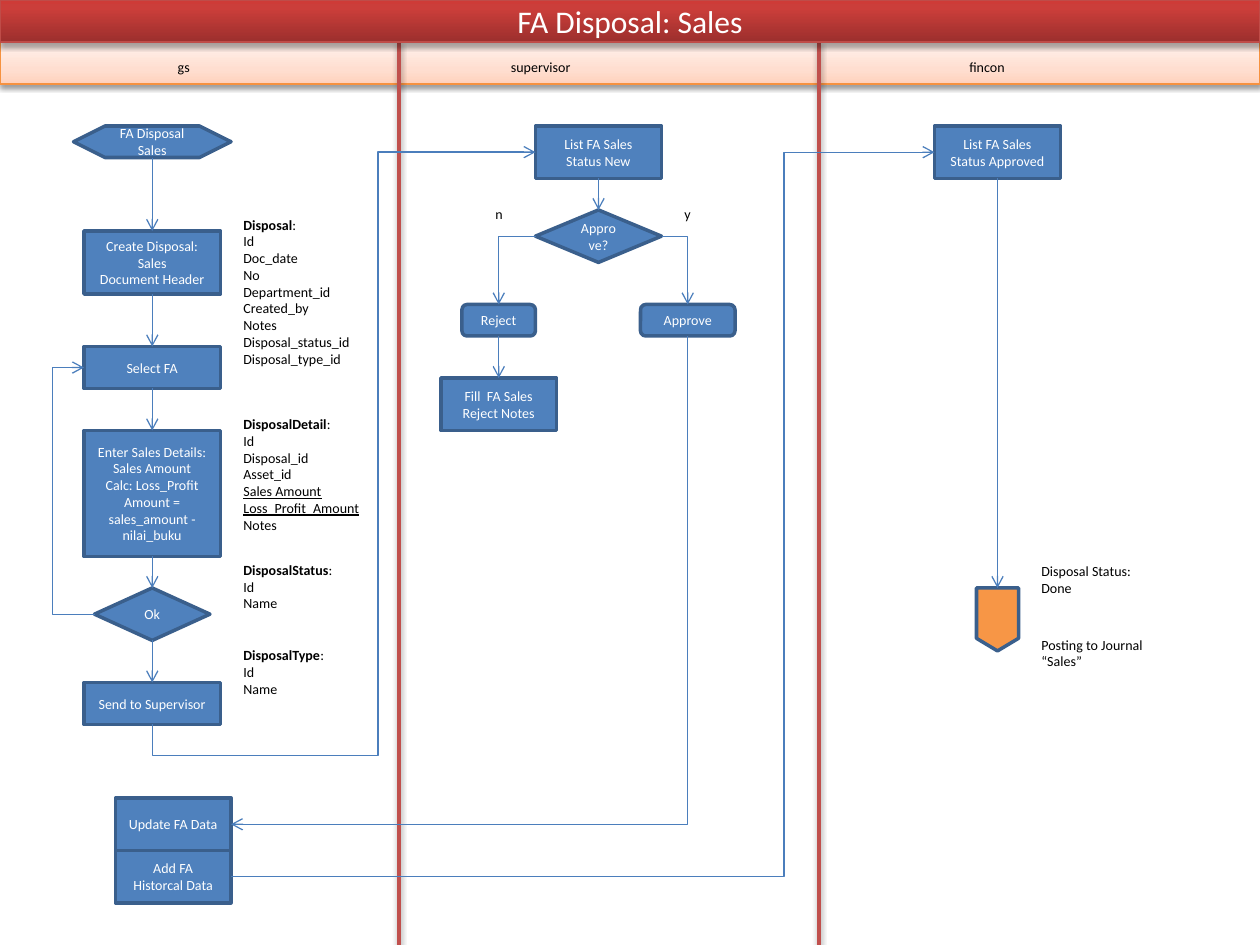
"""Build the swimlane flowchart for fixed asset disposal by sale."""
from copy import deepcopy

from lxml.etree import SubElement
from pptx import Presentation
from pptx.dml.color import RGBColor
from pptx.enum.shapes import MSO_AUTO_SHAPE_TYPE as Kind, MSO_CONNECTOR as Connector
from pptx.enum.text import MSO_ANCHOR as Anchor, MSO_AUTO_SIZE as AutoSize, PP_ALIGN as Align
from pptx.oxml.ns import qn
from pptx.util import Emu, Pt

PX = 9525
color = RGBColor.from_string
WHITE, BLACK, BLUE, OUTLINE, ORANGE = "FFFFFF", "000000", "4F81BD", "3A5F8C", "F79646"


def px(*lengths):
    return [Emu(length * PX) for length in lengths]


def write_text(shape, lines, text_color, align=Align.CENTER, size=8):
    frame = shape.text_frame
    for index, line in enumerate(lines):
        paragraph = frame.add_paragraph() if index else frame.paragraphs[0]
        paragraph.alignment = align
        for text, extra in [(line, {})] if isinstance(line, str) else line:
            run = paragraph.add_run()
            run.text = text
            run.font.color.rgb = color(text_color)
            for name, value in {"name": "Calibri", "size": Pt(size), **extra}.items():
                setattr(run.font, name, value)


presentation = Presentation()
presentation.slide_width, presentation.slide_height = px(960, 720)
slide = presentation.slides.add_slide(presentation.slide_layouts[5])
shapes = slide.shapes

title = shapes.title
title.left, title.top, title.width, title.height = px(0, 0, 960, 32)
title.text_frame.auto_size = AutoSize.NONE
title.text_frame.vertical_anchor = Anchor.MIDDLE
write_text(title, ["FA Disposal: Sales"], WHITE, size=18)
lane_bar = shapes.add_shape(Kind.RECTANGLE, *px(0, 32, 960, 32))
dividers = [shapes.add_connector(Connector.STRAIGHT, *px(x, 32, x, 720)) for x in (304, 624)]

bands = [
    (lane_bar, "F69240", [(0, "FFD2BD"), (0.35, "FFDED0"), (1, "FFF2ED")]),
    (title, "BF4C48", [(0, "9C2F2D"), (0.8, "CB3E3A"), (1, "CE3B37")]),
]
for band, line_color, stops in bands:
    band.fill.gradient()
    band.fill.gradient_angle = 90
    stop_list = band._element.spPr.find(".//" + qn("a:gsLst"))
    stop_list.append(deepcopy(stop_list[-1]))
    for stop, (position, stop_color) in zip(band.fill.gradient_stops, stops):
        stop.position = position
        stop.color.rgb = color(stop_color)
    band.line.color.rgb = color(line_color)
    band.line.width = Pt(0.75)

for divider in dividers:
    divider.line.color.rgb = color("C0504D")
    divider.line.width = Pt(2)

for shape, distance, alpha in [(lane_bar, 20000, 38000), (title, 23000, 35000),
                               *((divider, 20000, 38000) for divider in dividers)]:
    effects = SubElement(shape._element.spPr, qn("a:effectLst"))
    shadow = SubElement(effects, qn("a:outerShdw"), blurRad="40000", dist=str(distance),
                        dir="5400000", rotWithShape="0")
    shadow_color = SubElement(shadow, qn("a:srgbClr"), val=BLACK)
    SubElement(shadow_color, qn("a:alpha"), val=str(alpha))

for shape in (lane_bar, *dividers):
    title._element.addprevious(shape._element)

for text, x, width in [("gs", 32, 216), ("supervisor", 304, 216), ("fincon", 568, 368)]:
    label = shapes.add_textbox(*px(x, 40, width, 23))
    label.text_frame.word_wrap = True
    write_text(label, [text], BLACK)

steps = [
    ("start", Kind.FLOWCHART_PREPARATION, (56, 96, 120, 24), ["FA Disposal Sales"]),
    ("header", Kind.FLOWCHART_PROCESS, (64, 176, 104, 48),
     ["Create Disposal: Sales", "Document Header"]),
    ("select", Kind.FLOWCHART_PROCESS, (64, 264, 104, 32), ["Select FA"]),
    ("details", Kind.FLOWCHART_PROCESS, (64, 328, 104, 96),
     ["Enter Sales Details:", "Sales Amount",
      "Calc: Loss_Profit Amount = sales_amount - nilai_buku"]),
    ("ok", Kind.FLOWCHART_DECISION, (72, 448, 88, 40), ["Ok"]),
    ("send", Kind.FLOWCHART_PROCESS, (64, 520, 104, 32), ["Send to Supervisor"]),
    ("update", Kind.FLOWCHART_PROCESS, (88, 608, 88, 40), ["Update FA Data"]),
    ("history", Kind.FLOWCHART_PROCESS, (88, 648, 88, 40), ["Add FA Historcal Data"]),
    ("new list", Kind.FLOWCHART_PROCESS, (408, 96, 96, 40), ["List FA Sales Status New"]),
    ("decision", Kind.FLOWCHART_DECISION, (408, 160, 96, 40), ["Approve?"]),
    ("reject", Kind.FLOWCHART_ALTERNATE_PROCESS, (352, 232, 56, 24), ["Reject"]),
    ("reject notes", Kind.FLOWCHART_PROCESS, (336, 288, 88, 40), ["Fill  FA Sales Reject Notes"]),
    ("approve", Kind.FLOWCHART_ALTERNATE_PROCESS, (488, 232, 72, 24), ["Approve"]),
    ("approved list", Kind.FLOWCHART_PROCESS, (712, 96, 96, 40), ["List FA Sales Status Approved"]),
    ("posting", Kind.FLOWCHART_OFFPAGE_CONNECTOR, (744, 448, 32, 48), []),
]
nodes = {}
for name, kind, box, lines in steps:
    node = nodes[name] = shapes.add_shape(kind, *px(*box))
    node.shadow.inherit = False
    node.fill.solid()
    node.fill.fore_color.rgb = color(ORANGE if name == "posting" else BLUE)
    node.line.color.rgb = color(OUTLINE)
    node.line.width = Pt(2)
    node.text_frame.vertical_anchor = Anchor.MIDDLE
    write_text(node, lines, WHITE)

arrows = []
for chain in [("start", "header", "select", "details", "ok", "send"),
              ("new list", "decision"), ("reject", "reject notes"),
              ("approved list", "posting")]:
    for source, target in zip(chain, chain[1:]):
        arrow = shapes.add_connector(Connector.STRAIGHT, 0, 0, 0, 0)
        arrow.begin_connect(nodes[source], 2)
        arrow.end_connect(nodes[target], 0)
        arrows.append(arrow)

elbows = [
    ("bentConnector4", (44, 188, 436, 292), {"rot": 90, "flipH": 1, "flipV": 1}, [-5500, 58900]),
    ("bentConnector2", (380, 180, 28, 52), {"rot": 180, "flipV": 1}, []),
    ("bentConnector2", (504, 180, 20, 52), {}, []),
    ("bentConnector3", (176, 116, 536, 552), {"flipV": 1}, [78600]),
    ("bentConnector3", (64, 280, 8, 188), {"rot": 180}, [400000]),
    ("bentConnector2", (164, 268, 372, 348), {"rot": 90}, []),
]
for preset, (x, y, width, height), turns, adjustments in elbows:
    arrow = shapes.add_connector(Connector.ELBOW, *px(x, y, x + width, y + height))
    properties = arrow._element.spPr
    for name, value in turns.items():
        properties.find(qn("a:xfrm")).set(name, str(value * 60000 if name == "rot" else value))
    geometry = properties.find(qn("a:prstGeom"))
    geometry.set("prst", preset)
    for number, value in enumerate(adjustments, 1):
        SubElement(geometry.find(qn("a:avLst")), qn("a:gd"), name=f"adj{number}",
                   fmla=f"val {value}")
    arrows.append(arrow)

for arrow in arrows:
    arrow.line.color.rgb = color("4B7EBC")
    arrow.line.width = Pt(0.75)
    SubElement(arrow.line._get_or_add_ln(), qn("a:tailEnd"), type="arrow")
    SubElement(arrow._element.spPr, qn("a:effectLst"))

bold, underline = {"bold": True}, {"underline": True}
notes = [
    ((176, 160, 104, 126), [[("Disposal", bold), (":", {})], "Id", "Doc_date", "No",
                            "Department_id", "Created_by", "Notes", "Disposal_status_id",
                            "Disposal_type_id"]),
    ((176, 312, 109, 100), [[("DisposalDetail", bold), (":", {})], "Id", "Disposal_id",
                            "Asset_id", [("Sales Amount", underline)],
                            [("Loss_Profit_Amount", underline)], "Notes"]),
    ((176, 423, 88, 48), [[("DisposalStatus", bold), (":", {})], "Id", "Name"]),
    ((176, 488, 82, 48), [[("DisposalType", bold), (":", {})], "Id", "Name"]),
    ((368, 152, 25, 23), ["n"]),
    ((512, 152, 24, 23), ["y"]),
    ((784, 424, 88, 36), ["Disposal Status:", "Done"]),
    ((784, 480, 98, 36), ["Posting to Journal", "“Sales”"]),
]
for box, lines in notes:
    note = shapes.add_textbox(*px(*box))
    note.text_frame.word_wrap = False
    note.text_frame.auto_size = AutoSize.SHAPE_TO_FIT_TEXT
    write_text(note, lines, BLACK, Align.LEFT)

presentation.save("out.pptx")
